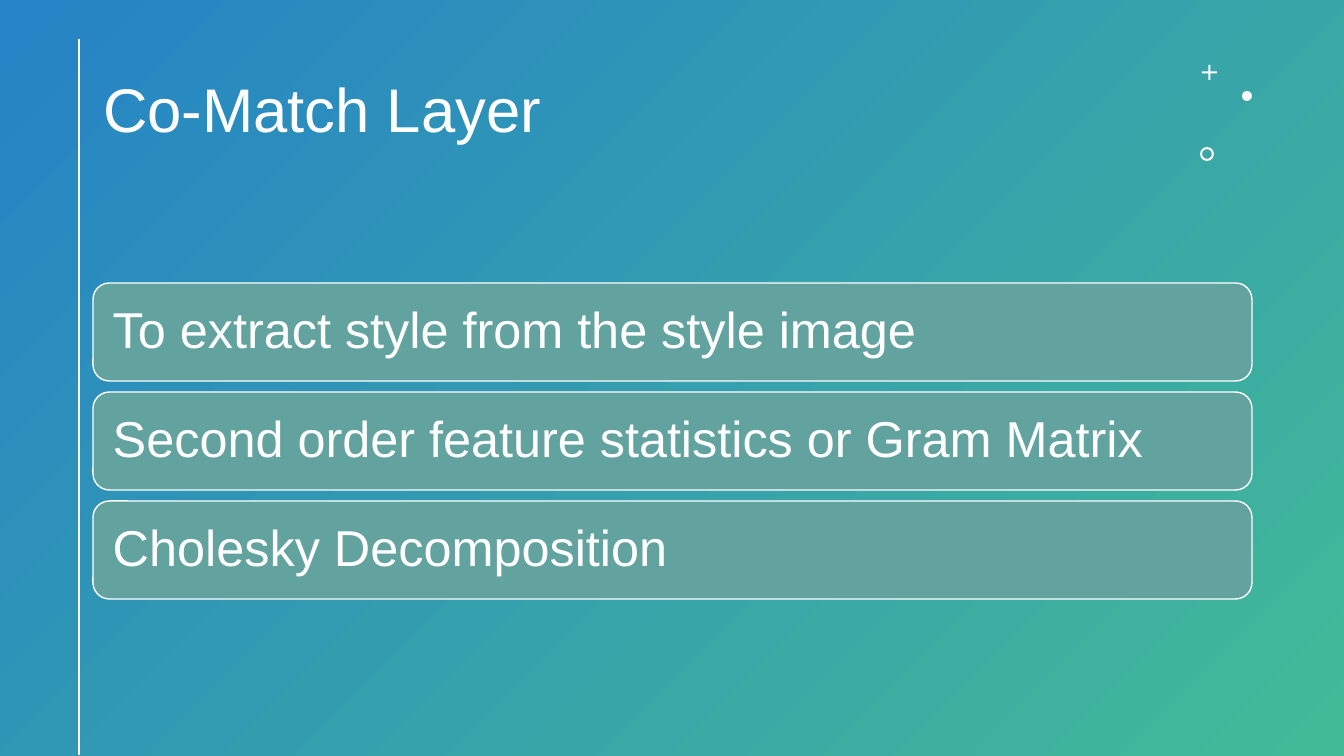
"""Build the Co-Match Layer slide: gradient background, title, three bars and accents."""
from lxml.etree import SubElement
from pptx import Presentation
from pptx.dml.color import RGBColor
from pptx.enum.shapes import MSO_CONNECTOR, MSO_SHAPE as SHAPE
from pptx.enum.text import MSO_ANCHOR as ANCHOR, PP_ALIGN as ALIGN
from pptx.oxml.ns import qn
from pptx.util import Pt

PX = 914400 / 100.8
BLUE = RGBColor(0x26, 0x83, 0xC6)
GREEN = RGBColor(0x42, 0xBA, 0x97)
TEAL = RGBColor(0x62, 0xA3, 0x9F)
WHITE = RGBColor(0xFF, 0xFF, 0xFF)


def px(*lengths):
    return [round(n * PX) for n in lengths]


def write(tf, text, size):
    tf.word_wrap = True
    tf.vertical_anchor = ANCHOR.MIDDLE
    p = tf.paragraphs[0]
    p.alignment = ALIGN.LEFT
    p.line_spacing = 0.9
    r = p.add_run()
    r.text = text
    for name, value in {"name": "Arial", "size": Pt(size)}.items():
        setattr(r.font, name, value)
    r.font.color.rgb = WHITE


prs = Presentation()
prs.slide_width, prs.slide_height = px(1344, 756)
s = prs.slides.add_slide(prs.slide_layouts[5])

fill = s.background.fill
fill.gradient()
fill.gradient_angle = 315
for stop, color, position in zip(fill.gradient_stops, (BLUE, GREEN), (0, 1)):
    stop.color.rgb = color
    stop.position = position

title = s.shapes.title
title.left, title.top, title.width, title.height = px(93, 40, 1081, 146)
write(title.text_frame, "Co-Match Layer", 44)

rule = s.shapes.add_connector(MSO_CONNECTOR.STRAIGHT, *px(79, 39, 79, 755))
rule.line.color.rgb = WHITE
rule.line.width = Pt(2)
SubElement(rule.element.spPr, qn("a:effectLst"))

accents = [
    (SHAPE.CROSS, (1202, 65, 15, 15), 0.43),
    (SHAPE.OVAL, (1242, 91, 10, 10), None),
    (SHAPE.DONUT, (1200, 147, 14, 14), 0.15),
]
for kind, box, thickness in accents:
    sp = s.shapes.add_shape(kind, *px(*box))
    sp.shadow.inherit = False
    sp.fill.solid()
    sp.fill.fore_color.rgb = WHITE
    sp.line.fill.background()
    if thickness:
        sp.adjustments[0] = thickness

points = [
    "To extract style from the style image",
    "Second order feature statistics or Gram Matrix",
    "Cholesky Decomposition",
]
for i, point in enumerate(points):
    bar = s.shapes.add_shape(SHAPE.ROUNDED_RECTANGLE, *px(93, 283 + 109 * i, 1159, 98))
    bar.shadow.inherit = False
    bar.fill.solid()
    bar.fill.fore_color.rgb = TEAL
    bar.line.color.rgb = WHITE
    bar.line.width = Pt(1)
    tf = bar.text_frame
    tf.margin_left, tf.margin_right = px(15, 15)
    write(tf, point, 36)

prs.save("out.pptx")
